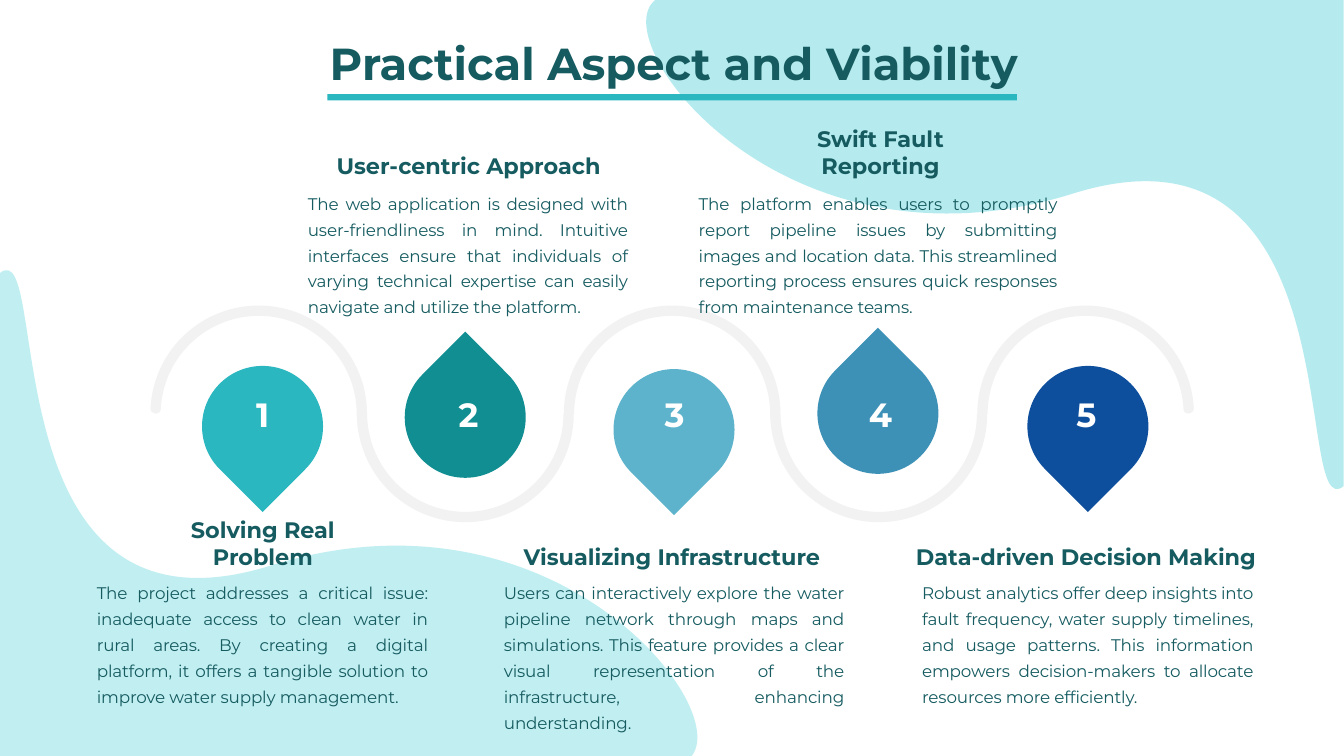
from math import cos, radians, sin, tan

from lxml.etree import SubElement
from pptx import Presentation
from pptx.dml.color import RGBColor
from pptx.enum.shapes import MSO_SHAPE
from pptx.enum.text import MSO_ANCHOR, MSO_AUTO_SIZE, PP_ALIGN
from pptx.oxml.ns import qn
from pptx.util import Cm, Pt

COLORS = {"ink": "155B60", "teal": "2AB7BF", "blob": "77DBE1", "wave": "F2F2F2",
          "white": "FFFFFF", "green": "118E91", "sky": "5CB3CB", "steel": "3D91B7",
          "navy": "0D4F9D"}

prs = Presentation()
prs.slide_width, prs.slide_height = Cm(33.87), Cm(19.05)
s = prs.slides.add_slide(prs.slide_layouts[5])


def paint(sp, color):
    sp.shadow.inherit = False
    sp.fill.solid()
    sp.fill.fore_color.rgb = RGBColor.from_string(COLORS[color])
    sp.line.fill.background()


def write(sp, text, size, color, bold, align, anchor, wrap):
    tf = sp.text_frame
    tf.text = text
    tf.word_wrap, tf.auto_size = wrap, MSO_AUTO_SIZE.NONE
    tf.vertical_anchor = anchor
    p = tf.paragraphs[0]
    p.alignment = align
    p.font.name, p.font.size, p.font.bold = "Montserrat", Pt(size), bold
    p.font.color.rgb = RGBColor.from_string(COLORS[color])
    return p


# Outlines in cm: a start point, then lines (one point) and curves (three points)
blob = [[(0, 19.13)], [(0, 6.88)],
        [(1.32, 5.82), (-0.38, 16.51), (6.83, 14.25)],
        [(14.07, 11.99), (18.67, 18.06), (17.35, 19.13)]]
outlines = [(blob, (16.28, 0, 17.58, 12.32), (0, 6.81), 180, "blob", 54),
            (blob, (0, 6.81, 17.58, 12.32), (0, 6.81), 0, "blob", 45)]

# Wave of half rings, alternately above and below the middle line
RADIUS, HALF_BAND, PITCH, FIRST_X, MID_Y = 2.6, 0.13, 5.21, 6.52, 10.43
OUTER = RADIUS + HALF_BAND
for rings in ([0, 1], [2, 3], [4]):
    edges = []
    for side in (1, -1):
        edge = []
        for i in rings:
            up = 1 if i % 2 == 0 else -1
            r = RADIUS + side * up * HALF_BAND
            cx = FIRST_X + i * PITCH
            angles = [3 if i == 0 else 0, 45, 90, 135, 177 if i == 4 else 180]
            for a, b in zip(angles, angles[1:]):
                a, b = radians(a), radians(b)
                pull = 4 / 3 * tan((b - a) / 4)
                ends = [(cx - r * cos(t), MID_Y - up * r * sin(t)) for t in (a, b)]
                controls = [(x + k * r * sin(t), y - k * up * r * cos(t))
                            for (x, y), t, k in zip(ends, (a, b), (pull, -pull))]
                edge += ([] if edge else [ends[0]]) + controls + [ends[1]]
        edges.append(edge)
    there, back = edges[0], edges[1][::-1]
    wave = [[there[0]]] + [there[k:k + 3] for k in range(1, len(there), 3)]
    cap = 4 / 3 * HALF_BAND
    if 4 in rings:
        wave.append([(x, y + cap) for x, y in (there[-1], back[0])] + [back[0]])
    else:
        wave.append([back[0]])
    wave += [back[k:k + 3] for k in range(1, len(back), 3)]
    if 0 in rings:
        wave.append([(x, y + cap) for x, y in (back[-1], there[0])] + [there[0]])
    left, top = FIRST_X + rings[0] * PITCH - OUTER, MID_Y - OUTER
    box = (left, top, (len(rings) - 1) * PITCH + 2 * OUTER, len(rings) * OUTER)
    outlines.append((wave, box, (left, top), 0, "wave", 100))

# Blobs and wave: a freeform of the right size whose path gets the curves
for segments, box, origin, rotation, color, opacity in outlines:
    left, top, width, height = [Cm(v) for v in box]
    builder = s.shapes.build_freeform(left, top)
    builder.add_line_segments([(left + width, top), (left + width, top + height)])
    sp = builder.convert_to_shape()
    sp.rotation = rotation
    paint(sp, color)
    outline = sp._element.find(".//" + qn("a:path"))
    for old in list(outline):
        outline.remove(old)
    for n, points in enumerate(segments):
        tag = "a:moveTo" if n == 0 else "a:lnTo" if len(points) == 1 else "a:cubicBezTo"
        command = SubElement(outline, qn(tag))
        for x, y in points:
            pt = SubElement(command, qn("a:pt"))
            pt.set("x", str(int(Cm(x - origin[0]))))
            pt.set("y", str(int(Cm(y - origin[1]))))
    SubElement(outline, qn("a:close"))
    if opacity < 100:
        clr = sp._element.spPr.find(qn("a:solidFill")).find(qn("a:srgbClr"))
        SubElement(clr, qn("a:alpha")).set("val", str(opacity * 1000))

# Title, brought in front of the blobs, and its underline
title = s.shapes.title
title.left, title.top, title.width, title.height = Cm(7.94), Cm(0.77), Cm(18.09), Cm(1.63)
write(title, "Practical Aspect and Viability", 32, "ink", True,
      PP_ALIGN.CENTER, MSO_ANCHOR.TOP, False)
title._element.getparent().append(title._element)
underline = s.shapes.add_shape(MSO_SHAPE.RECTANGLE, Cm(8.25), Cm(2.37), Cm(17.38), Cm(0.16))
paint(underline, "teal")

# Steps: drop (left, top, colour), heading (text, left, width), body (text, left, width)
steps = [
    ((5.09, 9.22, "teal"), ("Solving Real Problem", 3.27, 6.71),
     ("The project addresses a critical issue: inadequate access to clean water in rural "
      "areas. By creating a digital platform, it offers a tangible solution to improve "
      "water supply management.", 2.31, 8.61)),
    ((10.2, 8.99, "green"), ("User-centric Approach", 8.18, 7.26),
     ("The web application is designed with user-friendliness in mind. Intuitive interfaces "
      "ensure that individuals of varying technical expertise can easily navigate and "
      "utilize the platform.", 7.63, 8.33)),
    ((15.46, 9.3, "sky"), ("Visualizing Infrastructure", 12.82, 8.23),
     ("Users can interactively explore the water pipeline network through maps and "
      "simulations. This feature provides a clear visual representation of the "
      "infrastructure, enhancing understanding.", 12.57, 8.84)),
    ((20.6, 8.89, "steel"), ("Swift Fault Reporting", 18.9, 6.58),
     ("The platform enables users to promptly report pipeline issues by submitting images "
      "and location data. This streamlined reporting process ensures quick responses from "
      "maintenance teams.", 17.48, 9.3)),
    ((25.89, 9.22, "navy"), ("Data-driven Decision Making", 22.81, 9.12),
     ("Robust analytics offer deep insights into fault frequency, water supply timelines, "
      "and usage patterns. This information empowers decision-makers to allocate resources "
      "more efficiently.", 23.11, 8.61)),
]
for i, (drop, heading, body) in enumerate(steps):
    above = i % 2 == 1

    # Drop pointing at its text, with its number
    left, top, color = drop
    sp = s.shapes.add_shape(MSO_SHAPE.TEAR, Cm(left), Cm(top), Cm(3.05), Cm(3.05))
    sp.rotation = 315 if above else 135
    paint(sp, color)
    sp = s.shapes.add_textbox(Cm(6.1 + 5.19 * i), Cm(9.8), Cm(1.04), Cm(1.27))
    write(sp, str(i + 1), 24, "white", True, PP_ALIGN.CENTER, MSO_ANCHOR.MIDDLE, False)

    # Heading
    text, left, width = heading
    sp = s.shapes.add_textbox(Cm(left), Cm(3.7 if above else 13.54), Cm(width), Cm(0.94))
    write(sp, text, 16, "ink", True, PP_ALIGN.CENTER, MSO_ANCHOR.BOTTOM, True)

    # Body
    text, left, width = body
    sp = s.shapes.add_textbox(Cm(left), Cm(4.65 if above else 14.46), Cm(width), Cm(3.45))
    tf = sp.text_frame
    tf.margin_left = tf.margin_right = Cm(0.13)
    tf.margin_top = tf.margin_bottom = Cm(0.08)
    p = write(sp, text, 12, "ink", False, PP_ALIGN.JUSTIFY, MSO_ANCHOR.TOP, True)
    p.line_spacing, p.space_before = Pt(18.5), Pt(2.4)
    p.font._rPr.set("spc", "-10")

prs.save("out.pptx")
